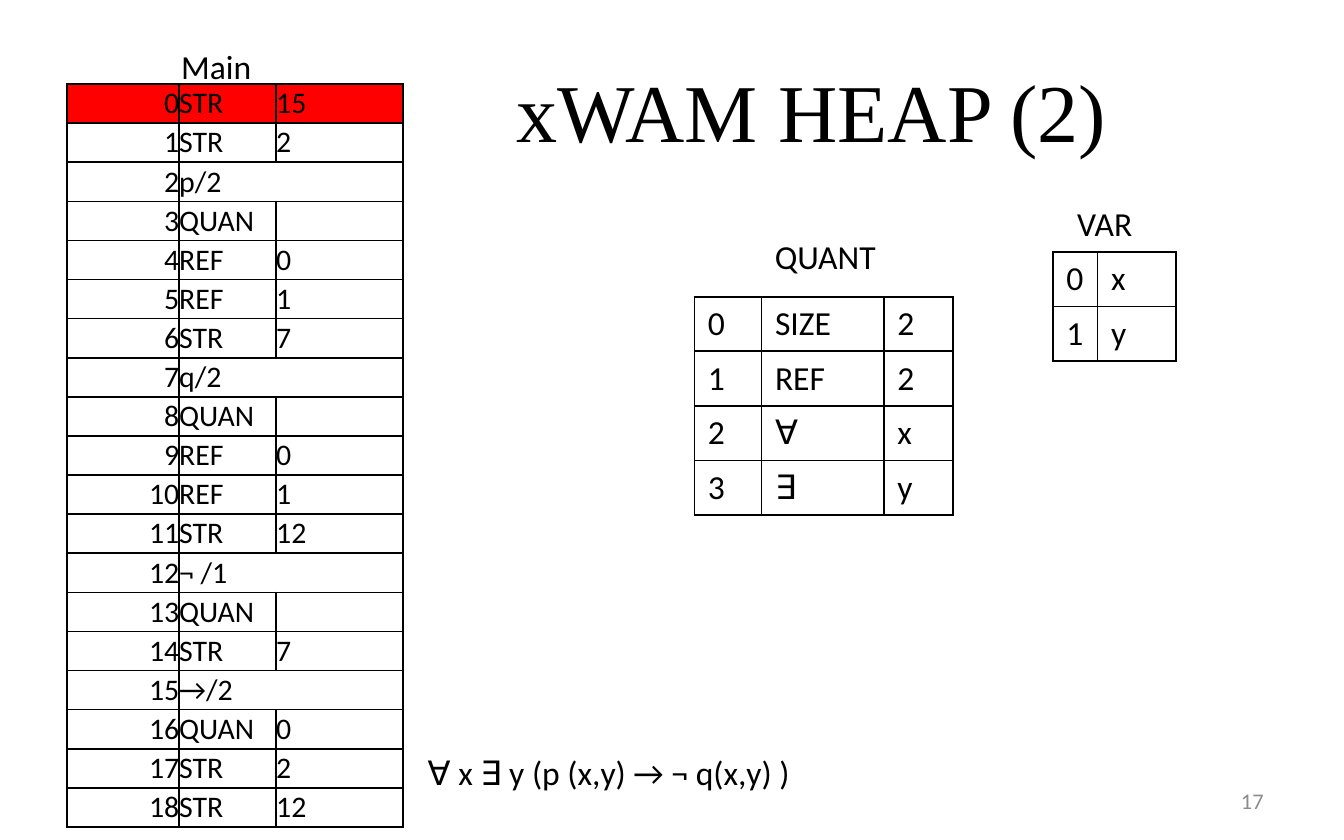
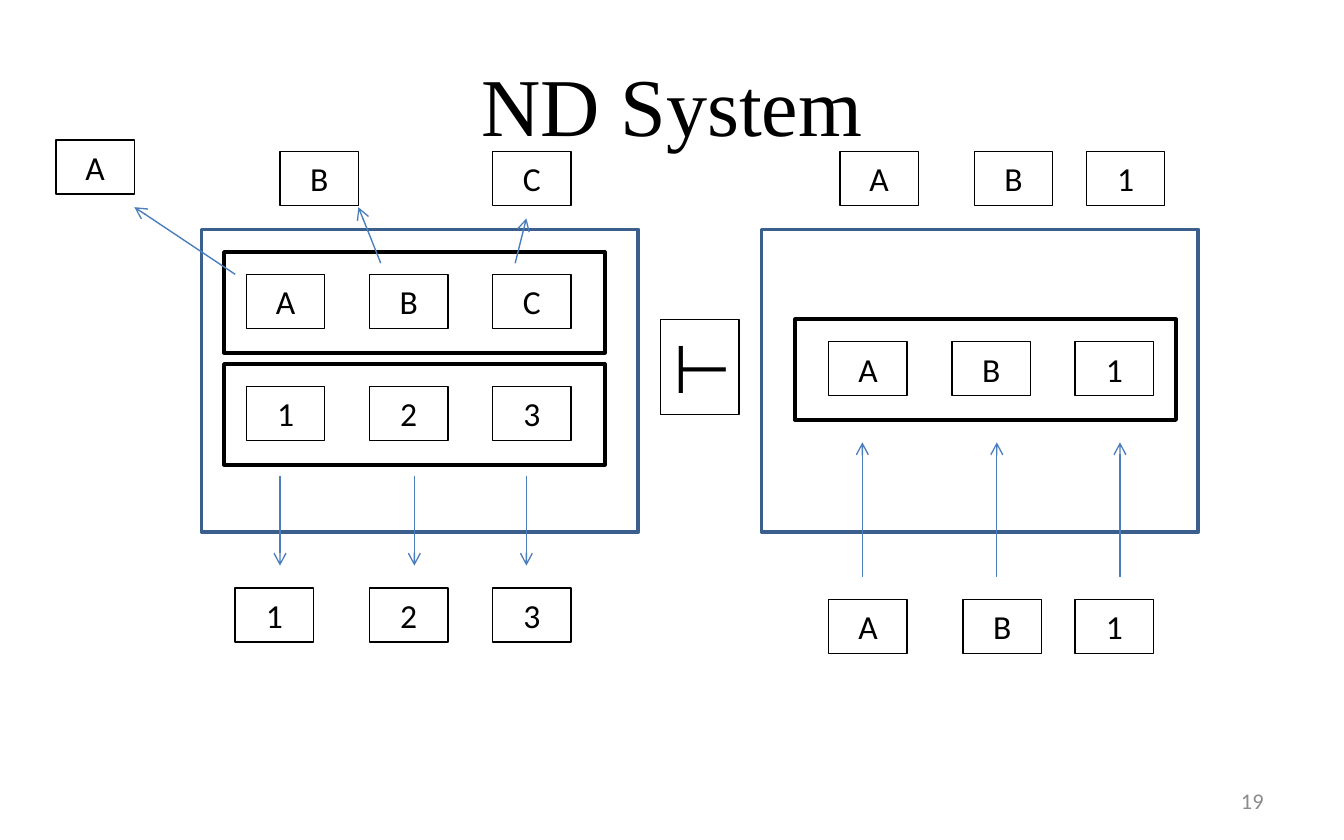
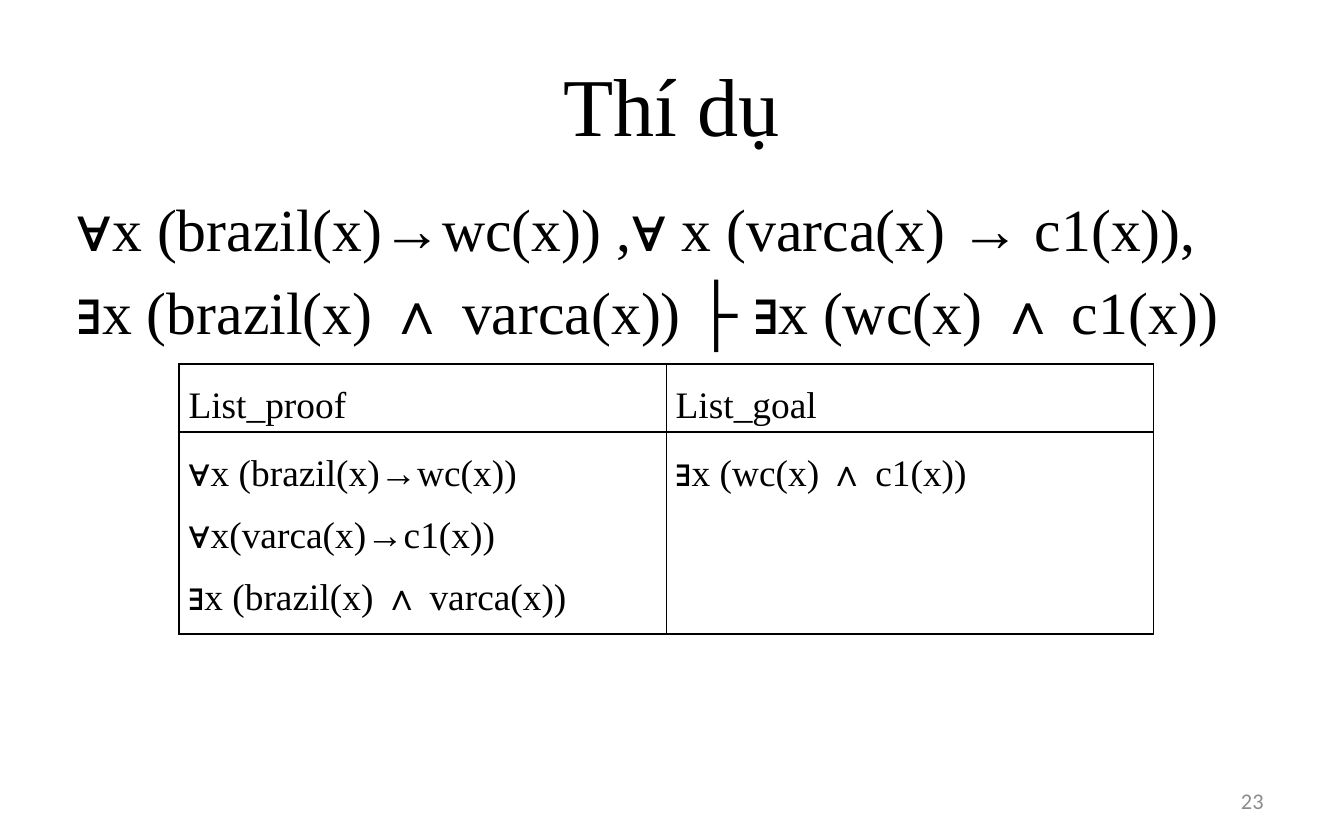
"""Build three slides on a logic prover: heap tables, a deduction diagram and an example."""
import dataclasses

import lxml.etree
import pptx
import pptx.dml.color
import pptx.enum.shapes
import pptx.enum.text
import pptx.oxml.ns
import pptx.util

Pt = pptx.util.Pt
ALIGN = pptx.enum.text.PP_ALIGN
ANCHOR = pptx.enum.text.MSO_ANCHOR
SHAPES = pptx.enum.shapes
qn = pptx.oxml.ns.qn


@dataclasses.dataclass(frozen=True)
class Theme:
    ink: str = "000000"
    paper: str = "FFFFFF"
    highlight: str = "FF0000"
    panel: str = "3A5F8C"
    arrow: str = "4B7EBC"
    muted: str = "8C8C8C"
    serif: str = "Times New Roman"
    sans: str = "Calibri"
    title_size: int = 44
    symbol_size: int = 36
    formula_size: int = 32
    proof_size: int = 20
    body_size: int = 18
    heap_size: int = 16
    page_size: int = 12
    thin: float = 0.75
    grid: float = 1
    thick: float = 2


class Deck:
    def __init__(self, theme):
        self.theme = theme
        self.presentation = pptx.Presentation()
        self.presentation.slide_width = Pt(720)
        self.presentation.slide_height = Pt(450)
        self.slide = None

    def color(self, value):
        return pptx.dml.color.RGBColor.from_string(value)

    def add_slide(self, title, number, title_box=(36, 18, 648, 75), align=ALIGN.CENTER):
        theme = self.theme
        self.slide = self.presentation.slides.add_slide(self.presentation.slide_layouts[6])
        self.text(title_box, [title], theme.title_size, theme.serif, align=align, anchor=ANCHOR.MIDDLE)
        self.text((516, 417, 168, 24), [str(number)], theme.page_size, color=theme.muted,
                  align=ALIGN.RIGHT, anchor=ANCHOR.MIDDLE)

    def add_lines(self, frame, lines, size, font=None, color=None, align=ALIGN.LEFT,
                  line_spacing=None, space_before=0):
        for index, line in enumerate(lines):
            paragraph = frame.add_paragraph() if index else frame.paragraphs[0]
            paragraph.alignment = align
            paragraph.line_spacing = line_spacing
            paragraph.space_before = Pt(space_before)
            run = paragraph.add_run()
            run.text = line
            run.font.size = Pt(size)
            run.font.name = font or self.theme.sans
            run.font.color.rgb = self.color(color or self.theme.ink)

    def text(self, box, lines, size=None, font=None, anchor=ANCHOR.TOP, margin_left=7.2, **style):
        shape = self.slide.shapes.add_textbox(*map(Pt, box))
        frame = shape.text_frame
        frame.word_wrap = True
        frame.vertical_anchor = anchor
        frame.margin_left = Pt(margin_left)
        self.add_lines(frame, lines, size or self.theme.body_size, font, **style)

    def rectangle(self, box, color, width, label=None, size=None):
        shape = self.slide.shapes.add_shape(SHAPES.MSO_SHAPE.RECTANGLE, *map(Pt, box))
        shape.shadow.inherit = False
        shape.fill.background()
        shape.line.color.rgb = self.color(color)
        shape.line.width = Pt(width)
        if label:
            shape.text_frame.word_wrap = True
            shape.text_frame.vertical_anchor = ANCHOR.MIDDLE
            self.add_lines(shape.text_frame, [label], size or self.theme.body_size, align=ALIGN.CENTER)

    def tiles(self, labels, lefts, top):
        for label, left in zip(labels, lefts):
            self.rectangle((left, top, 42, 29), self.theme.ink, self.theme.thin, label)

    def panel(self, left, top):
        self.rectangle((left, top, 234, 162), self.theme.panel, self.theme.thick)

    def band(self, left, top):
        self.rectangle((left, top, 204, 54), self.theme.ink, self.theme.thick)

    def arrow(self, start, end):
        connector = self.slide.shapes.add_connector(
            SHAPES.MSO_CONNECTOR.STRAIGHT, *map(Pt, start + end))
        connector.line.color.rgb = self.color(self.theme.arrow)
        connector.line.width = Pt(self.theme.thin)
        properties = connector._element.spPr
        lxml.etree.SubElement(properties.find(qn("a:ln")), qn("a:tailEnd"), type="arrow")
        lxml.etree.SubElement(properties, qn("a:effectLst"))

    def border(self, cell):
        properties = cell._tc.get_or_add_tcPr()
        for side in ("a:lnL", "a:lnR", "a:lnT", "a:lnB"):
            line = lxml.etree.SubElement(properties, qn(side), w=str(Pt(self.theme.grid)))
            fill = lxml.etree.SubElement(line, qn("a:solidFill"))
            lxml.etree.SubElement(fill, qn("a:srgbClr"), val=self.theme.ink)

    def table(self, left, top, widths, heights, rows, size=None, margins=(7.2, 3.6, 7.2, 3.6),
              anchor=ANCHOR.TOP, first_align=None, highlight_row=None, **style):
        size = size or self.theme.body_size
        frame = self.slide.shapes.add_table(
            len(rows), len(widths), Pt(left), Pt(top), Pt(sum(widths)), Pt(sum(heights)))
        table = frame.table
        table.first_row = table.horz_banding = False
        for column, width in zip(table.columns, widths):
            column.width = Pt(width)
        for row_index, (values, height) in enumerate(zip(rows, heights)):
            table.rows[row_index].height = Pt(height)
            fill = self.theme.highlight if row_index == highlight_row else self.theme.paper
            for column_index, value in enumerate(values):
                cell = table.cell(row_index, column_index)
                self.border(cell)
                cell.fill.solid()
                cell.fill.fore_color.rgb = self.color(fill)
                cell.vertical_anchor = anchor
                cell.margin_left, cell.margin_top, cell.margin_right, cell.margin_bottom = map(Pt, margins)
                if value:
                    self.add_lines(cell.text_frame, value.split("\n"), size, **style)
                    if column_index == 0 and first_align is not None:
                        cell.text_frame.paragraphs[0].alignment = first_align
                else:
                    end = cell.text_frame.paragraphs[0]._p.get_or_add_endParaRPr()
                    end.set("sz", str(size * 100))
                if value is None:
                    table.cell(row_index, column_index - 1).merge(cell)


def heap_slide(deck):
    deck.add_slide("xWAM HEAP (2)", 17, (246, 21, 354, 75), ALIGN.RIGHT)
    heap = [
        ("STR", "15"), ("STR", "2"), ("p/2", None), ("QUAN", ""), ("REF", "0"), ("REF", "1"),
        ("STR", "7"), ("q/2", None), ("QUAN", ""), ("REF", "0"), ("REF", "1"), ("STR", "12"),
        ("¬ /1", None), ("QUAN", ""), ("STR", "7"), ("→/2", None), ("QUAN", "0"),
        ("STR", "2"), ("STR", "12"),
    ]
    rows = [(str(address), *entry) for address, entry in enumerate(heap)]
    deck.table(36, 45, (60, 52, 68), [20.95] * len(rows), rows, deck.theme.heap_size,
               margins=(0, 0, 0, 0), anchor=ANCHOR.MIDDLE, first_align=ALIGN.RIGHT, highlight_row=0)
    quantifiers = [("0", "SIZE", "2"), ("1", "REF", "2"), ("2", "∀", "x"), ("3", "∃", "y")]
    deck.table(372, 159, (36, 65.5, 37), [29.2] * 4, quantifiers)
    deck.table(564, 135, (24, 42), [29.2] * 2, [("0", "x"), ("1", "y")])
    for label, left, top, width in (
        ("∀ x ∃ y (p (x,y) → ¬ q(x,y) )", 222, 399, 276),
        ("Main", 90, 21, 66),
        ("VAR", 570, 105, 54),
        ("QUANT", 408, 123, 72),
    ):
        deck.text((left, top, width, 29), [label])


def deduction_slide(deck):
    deck.add_slide("ND System", 19)
    deck.panel(108, 123)
    deck.panel(408, 123)
    for left, top in ((120, 135), (120, 195), (426, 171)):
        deck.band(left, top)
    deck.rectangle((354, 171, 42, 51), deck.theme.ink, deck.theme.thin, "⊢", deck.theme.symbol_size)

    deck.tiles("A", [30], 75)
    deck.tiles("BC", (150, 264), 81)
    deck.tiles("ABC", (132, 198, 264), 147)
    deck.tiles("123", (132, 198, 264), 207)
    deck.tiles("123", (126, 198, 264), 315)
    deck.tiles("AB1", (450, 522, 582), 81)
    deck.tiles("AB1", (444, 510, 576), 183)
    deck.tiles("AB1", (444, 516, 576), 321)

    deck.arrow((126, 147), (72, 111))
    deck.arrow((204, 141), (192, 111))
    deck.arrow((276, 141), (282, 117))
    for x in (150, 222, 282):
        deck.arrow((x, 255), (x, 303))
    for x in (462, 534, 600):
        deck.arrow((x, 309), (x, 237))


def example_slide(deck):
    theme = deck.theme
    deck.add_slide("Thí dụ", 23)
    formulas = [
        "∀x (brazil(x)→wc(x)) ,∀ x (varca(x) → c1(x)),",
        "∃x (brazil(x) ∧ varca(x)) ├ ∃x (wc(x) ∧ c1(x))",
    ]
    deck.text((18, 99, 702, 297), formulas, theme.formula_size, theme.serif,
              margin_left=23.2, space_before=6.4)
    premises = "∀x (brazil(x)→wc(x))\n∀x(varca(x)→c1(x))\n∃x (brazil(x) ∧ varca(x))"
    rows = [("List_proof", "List_goal"), (premises, "∃x (wc(x) ∧ c1(x))")]
    deck.table(96, 195, (261, 261), (36.5, 100), rows, theme.proof_size, margins=(5, 0, 5, 0),
               font=theme.serif, align=ALIGN.JUSTIFY, line_spacing=1.5)


def main():
    deck = Deck(Theme())
    heap_slide(deck)
    deduction_slide(deck)
    example_slide(deck)
    deck.presentation.save("out.pptx")


if __name__ == "__main__":
    main()
